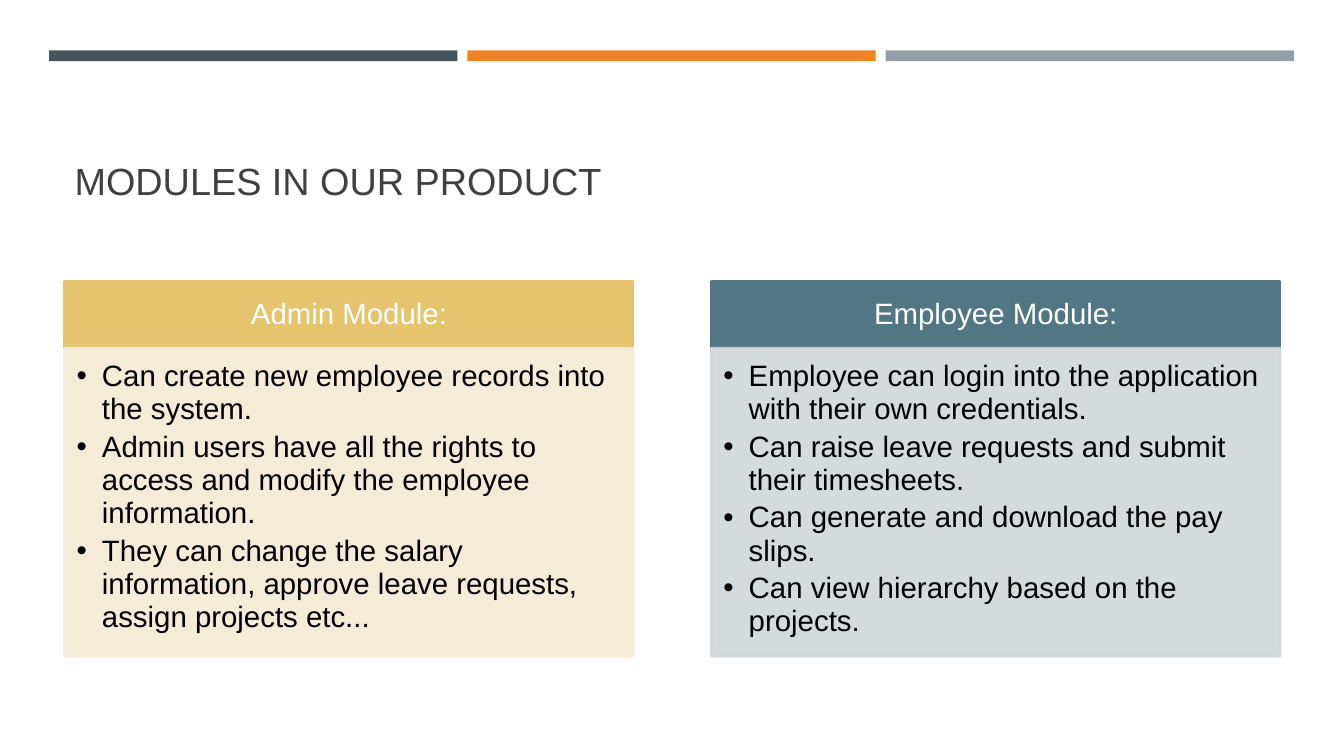
from dataclasses import dataclass

from lxml import etree
from pptx import Presentation
from pptx.dml.color import RGBColor
from pptx.enum.shapes import MSO_SHAPE
from pptx.enum.text import MSO_ANCHOR, PP_ALIGN
from pptx.oxml.ns import qn
from pptx.shapes.autoshape import Shape
from pptx.slide import Slide
from pptx.text.text import _Paragraph
from pptx.util import Cm, Pt

RECTANGLE = MSO_SHAPE.RECTANGLE
TOP, MIDDLE, BOTTOM = MSO_ANCHOR.TOP, MSO_ANCHOR.MIDDLE, MSO_ANCHOR.BOTTOM
LEFT, CENTER = PP_ALIGN.LEFT, PP_ALIGN.CENTER

SLATE = RGBColor(0x46, 0x53, 0x59)
ORANGE = RGBColor(0xED, 0x84, 0x28)
GRAY = RGBColor(0x96, 0x9F, 0xA7)
CHARCOAL = RGBColor(0x40, 0x40, 0x40)
GOLD = RGBColor(0xE6, 0xC4, 0x6D)
CREAM = RGBColor(0xF5, 0xEA, 0xD4)
TEAL = RGBColor(0x53, 0x76, 0x85)
MIST = RGBColor(0xD1, 0xD6, 0xD9)
WHITE = RGBColor(0xFF, 0xFF, 0xFF)
BLACK = RGBColor(0x00, 0x00, 0x00)

MARGIN = Cm(1.63)
MODULE_WIDTH = Cm(14.33)
MODULE_STEP = Cm(16.3)
HEADING_TOP, HEADING_HEIGHT = Cm(7.09), Cm(1.68)
DUTIES_HEIGHT = Cm(7.77)
BAR_LEFT, BAR_TOP = Cm(1.24), Cm(1.27)
BAR_WIDTH, BAR_HEIGHT, BAR_STEP = Cm(10.29), Cm(0.27), Cm(10.54)
INDENT = Cm(0.64)


@dataclass(frozen=True)
class Module:
    """A module's heading, its duties and its colours."""

    heading: str
    duties: tuple[str, ...]
    strong: RGBColor
    pale: RGBColor


MODULES = (
    Module(
        "Admin Module:",
        (
            "Can create new employee records into the\u00a0system.",
            "Admin users have all the rights to access and modify the employee information.",
            "They can change the\u00a0salary information, approve leave requests, "
            "assign\u00a0projects etc...",
        ),
        GOLD,
        CREAM,
    ),
    Module(
        "Employee\u00a0Module:",
        (
            "Employee can login into the application with their own credentials.",
            "Can\u00a0raise leave requests and submit their\u00a0timesheets.",
            "Can generate and download\u00a0the pay slips.",
            "Can view hierarchy based on the projects.\u00a0",
        ),
        TEAL,
        MIST,
    ),
)


def add_block(slide: Slide, left: int, top: int, width: int, height: int,
              color: RGBColor) -> Shape:
    """Add a plain rectangle without outline or shadow."""
    block = slide.shapes.add_shape(RECTANGLE, left, top, width, height)
    block.shadow.inherit = False
    block.fill.solid()
    block.fill.fore_color.rgb = color
    block.line.fill.background()
    return block


def outline(block: Shape, color: RGBColor) -> None:
    """Give a block an outline in its own colour."""
    block.line.color.rgb = color
    block.line.width = Pt(1.75)


def make_translucent(block: Shape) -> None:
    """Set the fill and outline to 90 percent opacity."""
    for color in block._element.spPr.iter(qn("a:srgbClr")):
        etree.SubElement(color, qn("a:alpha"), val="90000")


def set_frame(block: Shape, anchor: MSO_ANCHOR, insets: tuple[float, ...]) -> None:
    """Set wrapping, anchor and insets given as left, top, right, bottom in cm."""
    frame = block.text_frame
    frame.word_wrap = True
    frame.vertical_anchor = anchor
    (frame.margin_left, frame.margin_top,
     frame.margin_right, frame.margin_bottom) = map(Cm, insets)


def write(paragraph: _Paragraph, words: str, size: int, color: RGBColor,
          align: PP_ALIGN, spacing: float) -> None:
    """Write one paragraph in Arial."""
    paragraph.text = words
    paragraph.alignment = align
    paragraph.line_spacing = spacing
    paragraph.font.name = "Arial"
    paragraph.font.size = Pt(size)
    paragraph.font.color.rgb = color


def add_bullet(paragraph: _Paragraph) -> None:
    """Give a paragraph a hanging round bullet."""
    properties = paragraph._p.get_or_add_pPr()
    properties.set("marL", str(INDENT))
    properties.set("indent", str(-INDENT))
    etree.SubElement(properties, qn("a:buFont"), typeface="Arial")
    etree.SubElement(properties, qn("a:buChar"), char="•")


def add_module(slide: Slide, left: int, module: Module) -> None:
    """Add a module's heading band and its list of duties."""
    heading = add_block(slide, left, HEADING_TOP, MODULE_WIDTH, HEADING_HEIGHT, module.strong)
    outline(heading, module.strong)
    set_frame(heading, MIDDLE, (0.41, 0.23, 0.41, 0.23))
    write(heading.text_frame.paragraphs[0], module.heading, 21, WHITE, CENTER, 0.9)

    duties = add_block(slide, left, HEADING_TOP + HEADING_HEIGHT, MODULE_WIDTH,
                       DUTIES_HEIGHT, module.pale)
    outline(duties, module.pale)
    make_translucent(duties)
    set_frame(duties, TOP, (0.3, 0.3, 0.41, 0.46))
    frame = duties.text_frame
    for index, duty in enumerate(module.duties):
        paragraph = frame.add_paragraph() if index else frame.paragraphs[0]
        add_bullet(paragraph)
        write(paragraph, duty, 21, BLACK, LEFT, 0.94)
        paragraph.space_after = Pt(3.15)


def main() -> None:
    """Build the slide and save it."""
    presentation = Presentation()
    presentation.slide_width, presentation.slide_height = Cm(33.87), Cm(19.05)
    slide = presentation.slides.add_slide(presentation.slide_layouts[6])

    for index, color in enumerate((SLATE, ORANGE, GRAY)):
        add_block(slide, BAR_LEFT + index * BAR_STEP, BAR_TOP, BAR_WIDTH, BAR_HEIGHT, color)

    title = slide.shapes.add_textbox(MARGIN, Cm(1.96), Cm(30.63), Cm(3.3))
    set_frame(title, BOTTOM, (0.25, 0.13, 0.25, 0.13))
    write(title.text_frame.paragraphs[0], "MODULES IN OUR PRODUCT", 27, CHARCOAL, LEFT, 0.9)

    for index, module in enumerate(MODULES):
        add_module(slide, MARGIN + index * MODULE_STEP, module)

    presentation.save("out.pptx")


main()
